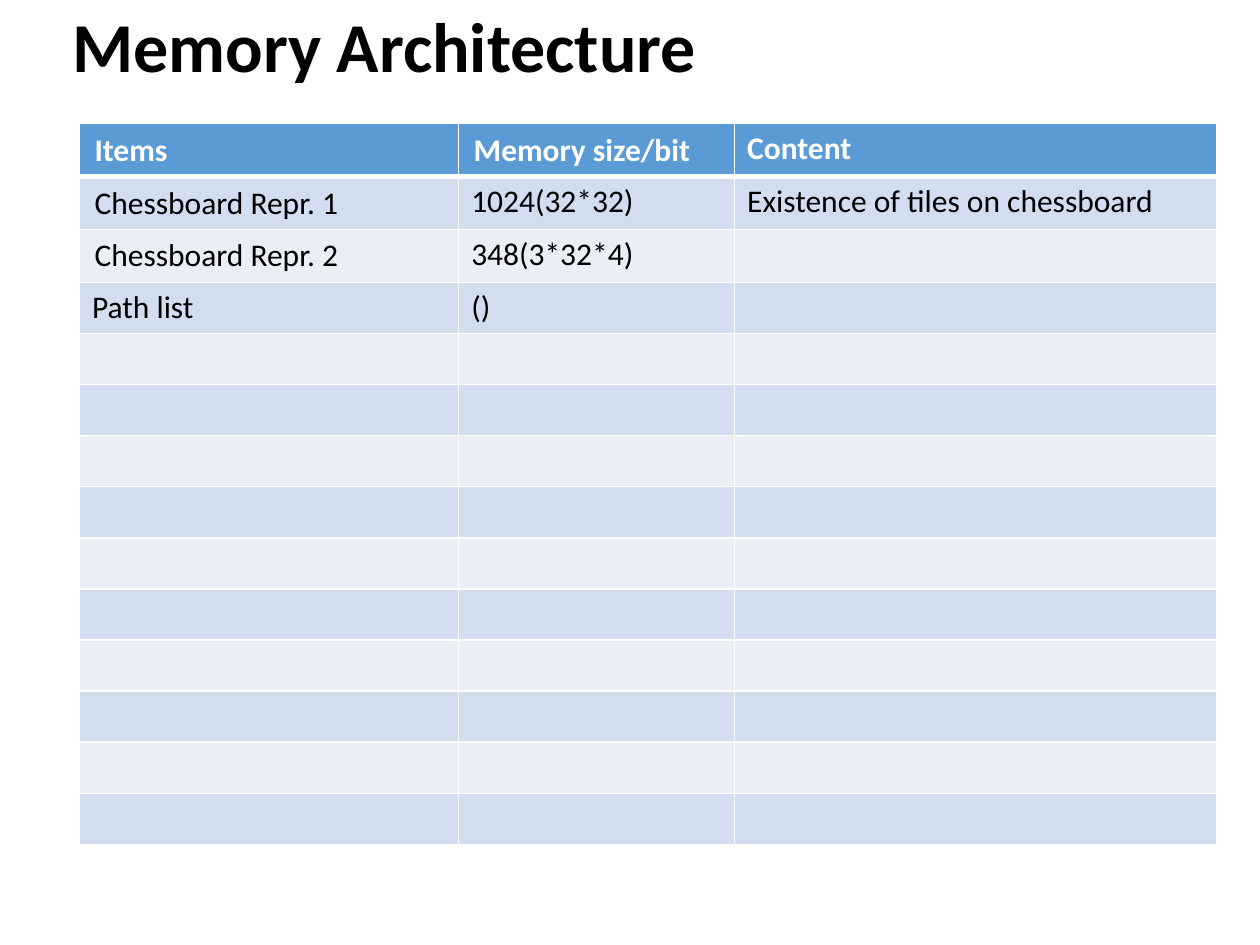
from lxml import etree
from pptx import Presentation
from pptx.dml.color import RGBColor
from pptx.enum.text import MSO_AUTO_SIZE, PP_ALIGN
from pptx.oxml.ns import qn
from pptx.util import Pt

CENTER = PP_ALIGN.CENTER
FIT_SHAPE = MSO_AUTO_SIZE.SHAPE_TO_FIT_TEXT

TITLE = "Memory Architecture"
ROWS = [
    ("Items", "Memory size/bit", "Content"),
    ("Chessboard Repr. 1", "1024(32*32)", "Existence of tiles on chessboard"),
    ("Chessboard Repr. 2", "348(3*32*4)", ""),
    ("Path list", "()", ""),
]
ROW_COUNT = 14
ROW_HEIGHT = 29.2
COLUMN_WIDTHS = [216.7, 157.7, 275.8]
TABLE_LEFT, TABLE_TOP = 45.4, 70.6
WIDE_MARGIN_CELLS = {(0, 0), (0, 1), (1, 0), (2, 0)}
WIDE_MARGINS = {
    "margin_left": Pt(8.64), "margin_right": Pt(8.64),
    "margin_top": Pt(4.32), "margin_bottom": Pt(4.32),
}

COLORS = {
    "white": "FFFFFF", "black": "000000",
    "header": "5B9BD5", "odd": "D2DEEF", "even": "EAEFF7",
}
TITLE_FONT = {"name": "Calibri", "size": Pt(40), "bold": True}
HEADER_FONT = {"name": "Calibri", "size": Pt(18), "bold": True}
BODY_FONT = {"name": "Calibri", "size": Pt(18), "bold": False}


def set_attributes(target, values):
    for name, value in values.items():
        setattr(target, name, value)


def add_run(paragraph, text, font, color):
    run = paragraph.add_run()
    run.text = text
    set_attributes(run.font, font)
    run.font.color.rgb = RGBColor.from_string(COLORS[color])
    return run


def make_line(tag, width):
    """Return a solid white line element of the given width in points."""
    line = etree.Element(qn(tag), w=str(Pt(width)))
    fill = etree.SubElement(line, qn("a:solidFill"))
    etree.SubElement(fill, qn("a:srgbClr"), val=COLORS["white"])
    return line


def add_title(slide):
    box = slide.shapes.add_textbox(Pt(31.7), Pt(-2.2), Pt(375.8), Pt(55.4))
    set_attributes(box.text_frame, {"word_wrap": False, "auto_size": FIT_SHAPE})
    paragraph = box.text_frame.paragraphs[0]
    paragraph.alignment = CENTER
    run = add_run(paragraph, TITLE, TITLE_FONT, "black")
    run.font._element.insert(0, make_line("a:ln", 0.75))


def format_cell(cell, row, column):
    properties = cell._tc.get_or_add_tcPr()
    widths = {"L": 1, "R": 1, "T": 3 if row == 1 else 1, "B": 3 if row == 0 else 1}
    for side, width in widths.items():
        properties.append(make_line(f"a:ln{side}", width))
    if (row, column) in WIDE_MARGIN_CELLS:
        set_attributes(cell, WIDE_MARGINS)
    shade = "header" if row == 0 else "odd" if row % 2 else "even"
    cell.fill.solid()
    cell.fill.fore_color.rgb = RGBColor.from_string(COLORS[shade])


def add_memory_table(slide):
    table = slide.shapes.add_table(
        ROW_COUNT, len(COLUMN_WIDTHS), Pt(TABLE_LEFT), Pt(TABLE_TOP),
        Pt(sum(COLUMN_WIDTHS)), Pt(ROW_COUNT * ROW_HEIGHT)).table
    for column, width in zip(table.columns, COLUMN_WIDTHS):
        column.width = Pt(width)
    for row_index, row in enumerate(table.rows):
        row.height = Pt(ROW_HEIGHT)
        for column_index, cell in enumerate(row.cells):
            format_cell(cell, row_index, column_index)
    for row_index, texts in enumerate(ROWS):
        font, color = (BODY_FONT, "black") if row_index else (HEADER_FONT, "white")
        for column_index, text in enumerate(texts):
            if text:
                cell = table.cell(row_index, column_index)
                add_run(cell.text_frame.paragraphs[0], text, font, color)


def main():
    presentation = Presentation()
    presentation.slide_width, presentation.slide_height = Pt(720), Pt(540)
    slide = presentation.slides.add_slide(presentation.slide_layouts[6])
    add_title(slide)
    add_memory_table(slide)
    presentation.save("out.pptx")


if __name__ == "__main__":
    main()
